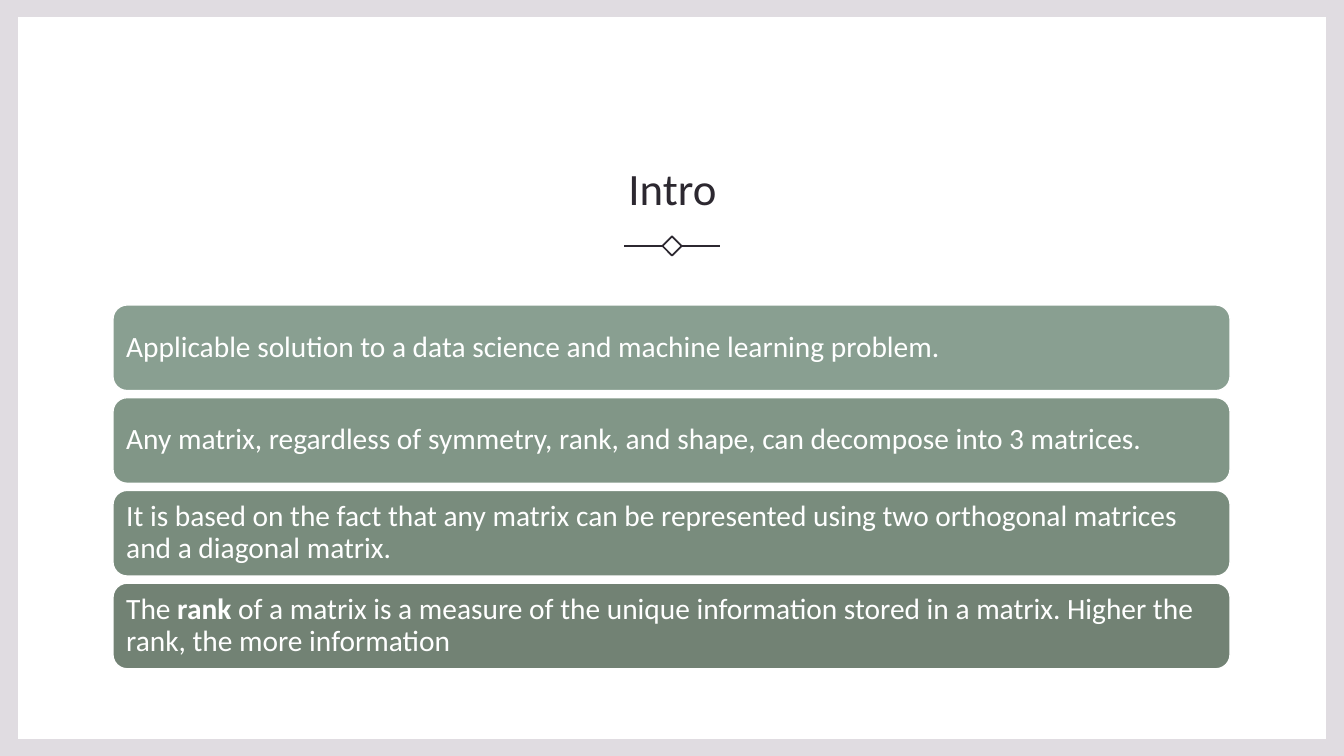
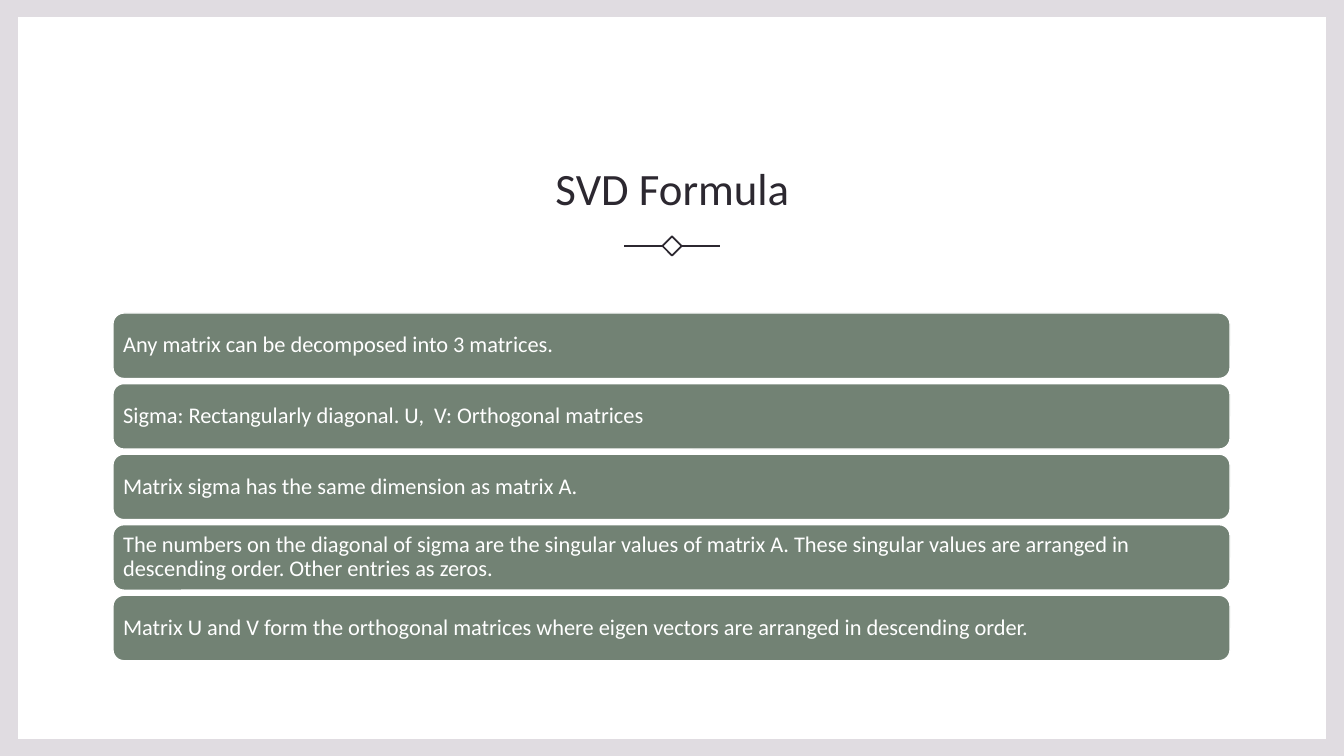
from pptx import Presentation
from pptx.dml.color import RGBColor
from pptx.enum import shapes, text
from pptx.oxml.ns import qn
from pptx.util import Inches, Pt

SLIDES = [
    {
        "title": "Intro",
        "bars": [
            ("899F91", ["Applicable solution to a data science and machine learning problem."]),
            ("819687", ["Any matrix, regardless of symmetry, rank, and shape, can decompose into 3 matrices."]),
            ("798C7D", ["It is based on the fact that any matrix can be represented using two orthogonal "
                        "matrices and a diagonal matrix."]),
            ("728274", ["The ", "rank", " of a matrix is a measure of the unique information stored in a "
                        "matrix. Higher the rank, the more information"]),
        ],
        "height": 0.85, "gap": 0.07, "inset": 0.09, "size": 21,
    },
    {
        "title": "SVD Formula",
        "bars": [
            ("728274", ["Any matrix can be decomposed into 3 matrices."]),
            ("728274", ["Sigma: Rectangularly diagonal. U,  V: Orthogonal matrices"]),
            ("728274", ["Matrix sigma has the same dimension as matrix A."]),
            ("728274", ["The numbers on the diagonal of sigma are the singular values of matrix A. These "
                        "singular values are arranged in descending order. Other entries as zeros."]),
            ("728274", ["Matrix U and V form the orthogonal matrices where eigen vectors are arranged in "
                        "descending order."]),
        ],
        "height": 0.65, "gap": 0.05, "inset": 0.07, "size": 16,
    },
]

FONT = "Calibri"
INK, WHITE, FRAME = "2C2830", "FFFFFF", "E0DCE1"
WIDTH, HEIGHT = 13.33, 7.5
MARGIN_X, MARGIN_Y = 0.18, 0.17
BAR_LEFT, BAR_WIDTH, STACK_CENTER = 1.12, 11.08, 4.83
TITLE_BOX = (1.13, 1.05, 11.08, 1.13)
ORNAMENT_X, ORNAMENT_Y, DIAMOND, REACH = WIDTH / 2, 2.44, 0.19, 0.48


def color(value):
    return RGBColor.from_string(value)


def add_shape(slide, kind, box, fill=None, line=None, line_width=1):
    shape = slide.shapes.add_shape(kind, *map(Inches, box))
    shape.shadow.inherit = False
    if fill:
        shape.fill.solid()
        shape.fill.fore_color.rgb = color(fill)
    else:
        shape.fill.background()
    if line:
        shape.line.color.rgb = color(line)
        shape.line.width = Pt(line_width)
    else:
        shape.line.fill.background()
    return shape


def write(shape, parts, size, ink, frame_format, paragraph_format):
    frame = shape.text_frame
    paragraph = frame.paragraphs[0]
    for target, values in ((frame, frame_format), (paragraph, paragraph_format)):
        for name, value in values.items():
            setattr(target, name, value)
    for index, part in enumerate(parts):
        run = paragraph.add_run()
        run.text = part
        font_format = {"name": FONT, "size": Pt(size), "bold": index % 2 == 1}
        for name, value in font_format.items():
            setattr(run.font, name, value)
        run.font.color.rgb = color(ink)


def add_frame(slide):
    slide.background.fill.solid()
    slide.background.fill.fore_color.rgb = color(FRAME)
    panel = (MARGIN_X, MARGIN_Y, WIDTH - 2 * MARGIN_X, HEIGHT - 2 * MARGIN_Y)
    add_shape(slide, shapes.MSO_SHAPE.RECTANGLE, panel, WHITE)


def add_title(slide, title):
    box = slide.shapes.add_textbox(*map(Inches, TITLE_BOX))
    write(box, [title], 32, INK,
          {"word_wrap": True, "vertical_anchor": text.MSO_ANCHOR.BOTTOM},
          {"alignment": text.PP_ALIGN.CENTER, "line_spacing": 1.1})


def add_ornament(slide):
    half = DIAMOND / 2
    add_shape(slide, shapes.MSO_SHAPE.DIAMOND,
              (ORNAMENT_X - half, ORNAMENT_Y - half, DIAMOND, DIAMOND), line=INK, line_width=1.25)
    for side in (-1, 1):
        ends = (ORNAMENT_X + side * half, ORNAMENT_Y, ORNAMENT_X + side * REACH, ORNAMENT_Y)
        connector = slide.shapes.add_connector(shapes.MSO_CONNECTOR.STRAIGHT, *map(Inches, ends))
        connector.line.color.rgb = color(INK)
        connector.line.width = Pt(1.25)
        properties = connector._element.spPr
        properties.append(properties.makeelement(qn("a:effectLst"), {}))


def add_bars(slide, content):
    bars, height, gap = content["bars"], content["height"], content["gap"]
    top = STACK_CENTER - (len(bars) * (height + gap) - gap) / 2
    frame_format = {"word_wrap": True, "vertical_anchor": text.MSO_ANCHOR.MIDDLE}
    for side in ("left", "right", "top", "bottom"):
        frame_format[f"margin_{side}"] = Inches(content["inset"])
    for index, (fill, parts) in enumerate(bars):
        box = (BAR_LEFT, top + index * (height + gap), BAR_WIDTH, height)
        bar = add_shape(slide, shapes.MSO_SHAPE.ROUNDED_RECTANGLE, box, fill, WHITE)
        write(bar, parts, content["size"], WHITE, frame_format,
              {"alignment": text.PP_ALIGN.LEFT, "line_spacing": 0.9})


def main():
    presentation = Presentation()
    presentation.slide_width = Inches(WIDTH)
    presentation.slide_height = Inches(HEIGHT)
    for content in SLIDES:
        slide = presentation.slides.add_slide(presentation.slide_layouts[6])
        add_frame(slide)
        add_title(slide, content["title"])
        add_ornament(slide)
        add_bars(slide, content)
    presentation.save("out.pptx")


if __name__ == "__main__":
    main()
